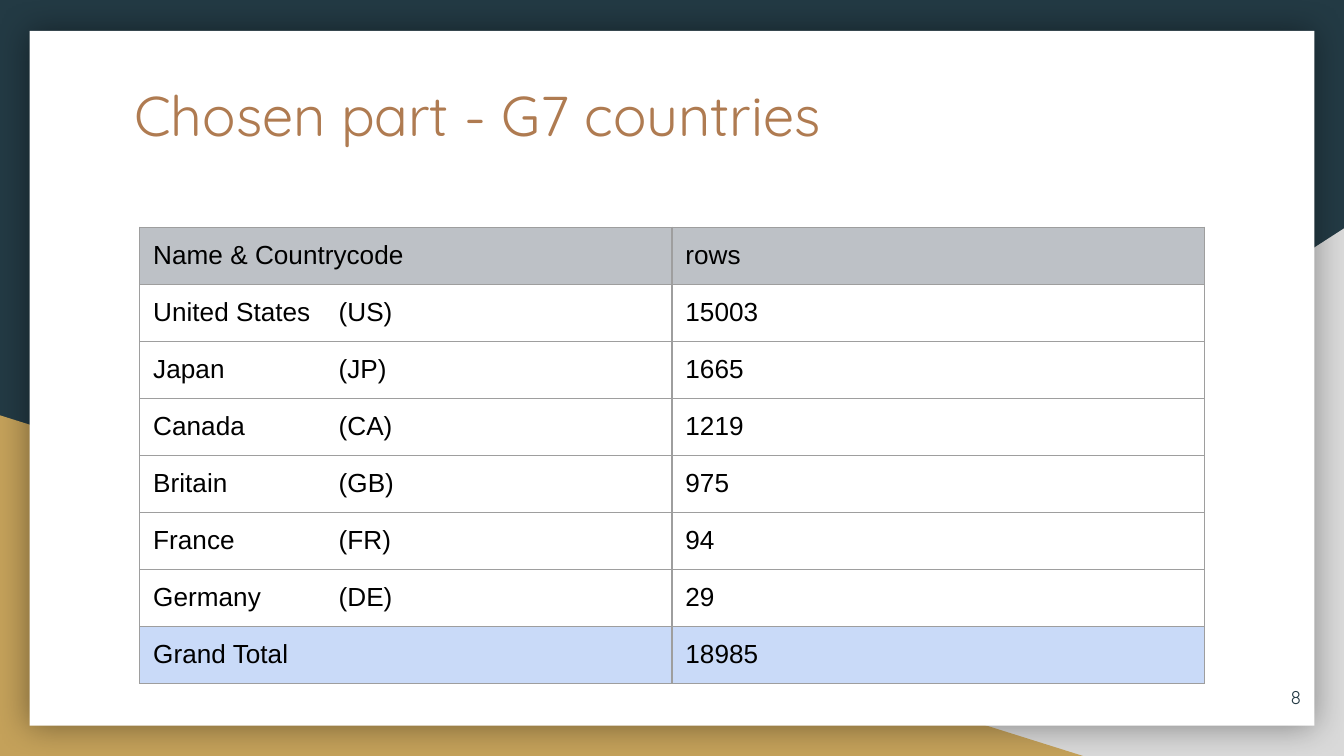
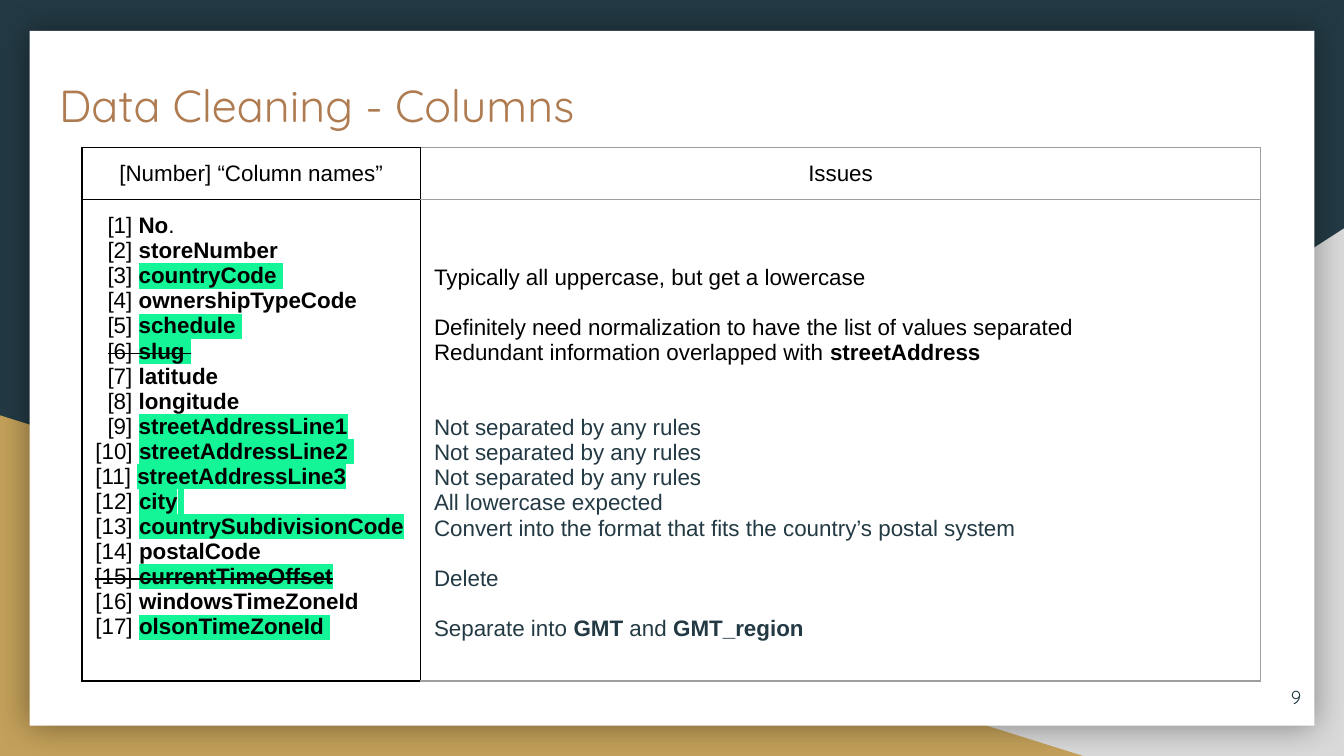
from dataclasses import dataclass

from lxml import etree
from pptx import Presentation
from pptx import util as u
from pptx.dml.color import RGBColor
from pptx.enum import shapes, text
from pptx.oxml import ns


@dataclass(frozen=True)
class Theme:
    slate: str = "233A44"
    gold: str = "C4A15A"
    silver: str = "D9D9D9"
    white: str = "FFFFFF"
    copper: str = "AF7B51"
    black: str = "000000"
    rule: str = "9E9E9E"
    head: str = "BDC1C6"
    total: str = "C9DAF8"
    mark: str = "14F597"
    display: str = "Quicksand"
    body: str = "Arial"
    big_title: int = 30
    small_title: int = 24
    count_size: int = 14
    column_size: int = 12
    number_size: int = 10


T = Theme()
WIDTH = 10
HEIGHT = WIDTH * 9 / 16
INSET = 0.1
LINE_PT = 13.45   # height of one line of the column list

# Content: rows per G7 country
COUNTRIES_TITLE = "Chosen part - G7 countries"
COUNTRY_HEAD = ("Name & Countrycode", "rows")
COUNTRIES = [
    ("United States\t(US)", "15003"),
    ("Japan\t(JP)", "1665"),
    ("Canada\t(CA)", "1219"),
    ("Britain\t(GB)", "975"),
    ("France\t(FR)", "94"),
    ("Germany\t(DE)", "29"),
]
COUNTRY_TOTAL = ("Grand Total", "18985")

# Content: column names and their issues
COLUMNS_TITLE = "Data Cleaning - Columns"
COLUMN_HEAD = ("[Number] “Column names”", "Issues")
COLUMNS = [
    "No", "storeNumber", "countryCode", "ownershipTypeCode", "schedule", "slug",
    "latitude", "longitude", "streetAddressLine1", "streetAddressLine2",
    "streetAddressLine3", "city", "countrySubdivisionCode", "postalCode",
    "currentTimeOffset", "windowsTimeZoneId", "olsonTimeZoneId",
]
MARKED = {3, 5, 6, 9, 10, 11, 12, 13, 15, 17}
STRUCK = {6, 15}
SPACED = {3, 5, 6, 10, 12, 17}   # the mark runs one space past the name
ISSUES = {   # column number: (colour, [(words, bold)])
    3: (T.black, [("Typically all uppercase, but get a lowercase", False)]),
    5: (T.black, [("Definitely need normalization to have the list of values separated", False)]),
    6: (T.black, [("Redundant information overlapped with ", False), ("streetAddress", True)]),
    9: (T.slate, [("Not separated by any rules", False)]),
    10: (T.slate, [("Not separated by any rules", False)]),
    11: (T.slate, [("Not separated by any rules", False)]),
    12: (T.slate, [("All lowercase expected", False)]),
    13: (T.slate, [("Convert into the format that fits the country’s postal system", False)]),
    15: (T.slate, [("Delete", False)]),
    17: (T.slate, [("Separate into ", False), ("GMT", True), (" and ", False),
                   ("GMT_region", True)]),
}


def child(parent, tag, **attributes):
    return etree.SubElement(parent, ns.qn(tag), attributes)


def write(paragraph, words, size, color=T.black, font=T.body, bold=False,
          highlight=None, strike=False, align=None):
    run = paragraph.add_run()
    run.text = words
    run.font.size = u.Pt(size)
    run.font.name = font
    run.font.bold = bold
    run.font.color.rgb = RGBColor.from_string(color)
    properties = run.font._element
    if strike:
        properties.set("strike", "sngStrike")
    if highlight:
        mark = etree.Element(ns.qn("a:highlight"))
        child(mark, "a:srgbClr", val=highlight)
        properties.find(ns.qn("a:solidFill")).addnext(mark)
    if align is not None:
        paragraph.alignment = align


def set_frame(frame, anchor):
    frame.word_wrap = True
    frame.auto_size = text.MSO_AUTO_SIZE.NONE
    frame.vertical_anchor = anchor
    frame.margin_left = frame.margin_right = u.Inches(INSET)
    frame.margin_top = frame.margin_bottom = u.Inches(INSET)


# Backdrop, drawn once and kept on the layout
def build_backdrop(slide, layout):
    layout.background.fill.solid()
    layout.background.fill.fore_color.rgb = RGBColor.from_string(T.slate)
    triangle, rectangle = shapes.MSO_SHAPE.RIGHT_TRIANGLE, shapes.MSO_SHAPE.RECTANGLE
    parts = []
    for kind, box, color in [
        (triangle, (3.92, 1.7, 6.08, HEIGHT - 1.7), T.silver),
        (triangle, (0, 3.09, 8.06, HEIGHT - 3.09), T.gold),
        (rectangle, (0.22, 0.23, 9.56, 5.17), T.white),
    ]:
        part = slide.shapes.add_shape(kind, *map(u.Inches, box))
        part.shadow.inherit = False
        part.fill.solid()
        part.fill.fore_color.rgb = RGBColor.from_string(color)
        part.line.fill.background()
        parts.append(part.element)
    silver, _, card = parts
    silver.spPr.find(ns.qn("a:xfrm")).set("flipH", "1")
    glow = child(card.spPr.find(ns.qn("a:effectLst")), "a:outerShdw",
                 blurRad=str(u.Pt(18)), dist="0", dir="0", algn="ctr", rotWithShape="0")
    child(child(glow, "a:srgbClr", val=T.black), "a:alpha", val="40000")
    for position, part in enumerate(parts, start=2):
        layout.shapes.element.insert(position, part)


# Title and slide number
def dress(slide, title, box, size, number):
    heading = slide.shapes.title
    heading.left, heading.top, heading.width, heading.height = map(u.Inches, box)
    set_frame(heading.text_frame, text.MSO_ANCHOR.TOP)
    write(heading.text_frame.paragraphs[0], title, size, T.copper, T.display,
          align=text.PP_ALIGN.LEFT)
    corner = slide.shapes.add_textbox(*map(u.Inches, (9.18, 4.97, 0.6, 0.43)))
    set_frame(corner.text_frame, text.MSO_ANCHOR.MIDDLE)
    write(corner.text_frame.paragraphs[0], str(number), T.number_size, T.slate,
          T.display, align=text.PP_ALIGN.RIGHT)


# Tables
def add_grid(slide, left, top, widths, heights):
    frame = slide.shapes.add_table(
        len(heights), len(widths), u.Inches(left), u.Inches(top),
        u.Inches(sum(widths)), u.Inches(sum(heights)))
    grid = frame.table
    grid.first_row = grid.horz_banding = False
    for column, width in zip(grid.columns, widths):
        column.width = u.Inches(width)
    for row, height in zip(grid.rows, heights):
        row.height = u.Inches(height)
    return grid


def style_cell(cell, fill=None, border=T.rule, left_border=None):
    cell.margin_left = cell.margin_right = u.Inches(INSET)
    cell.margin_top = cell.margin_bottom = u.Inches(INSET)
    if fill:
        cell.fill.solid()
        cell.fill.fore_color.rgb = RGBColor.from_string(fill)
    else:
        cell.fill.background()
    properties = cell._tc.get_or_add_tcPr()
    for position, side in enumerate("LRTB"):
        line = etree.Element(ns.qn(f"a:ln{side}"), w=str(u.Pt(0.75)))
        color = left_border if side == "L" and left_border else border
        child(child(line, "a:solidFill"), "a:srgbClr", val=color)
        properties.insert(position, line)


def add_country_table(slide):
    rows = [COUNTRY_HEAD, *COUNTRIES, COUNTRY_TOTAL]
    fills = [T.head, *[None] * len(COUNTRIES), T.total]
    grid = add_grid(slide, 1.04, 1.69, [3.96] * 2, [3.4 / len(rows)] * len(rows))
    for r, (row, fill) in enumerate(zip(rows, fills)):
        for c, words in enumerate(row):
            cell = grid.cell(r, c)
            style_cell(cell, fill)
            paragraph = cell.text_frame.paragraphs[0]
            write(paragraph, words, T.count_size)
            if "\t" in words:
                stops = child(paragraph._p.get_or_add_pPr(), "a:tabLst")
                child(stops, "a:tab", pos=str(u.Inches(1.38)), algn="l")


def next_paragraph(frame, first):
    return frame.paragraphs[0] if first else frame.add_paragraph()


def list_columns(frame):
    size = T.column_size
    for number, name in enumerate(COLUMNS, start=1):
        paragraph = next_paragraph(frame, number == 1)
        if number < 10:
            paragraph._p.get_or_add_pPr().set("marL", str(u.Inches(0.09)))
        mark = T.mark if number in MARKED else None
        strike = number in STRUCK
        write(paragraph, f"[{number}] ", size, strike=strike)
        write(paragraph, name, size, bold=True, highlight=mark, strike=strike)
        if number == 1:
            write(paragraph, ".", size)
        if number in SPACED:
            write(paragraph, " ", size, highlight=mark, strike=strike)


def list_issues(cell):
    first = previous = min(ISSUES)
    # Each issue stands level with its column name
    cell.margin_top = u.Inches(INSET + (first - 1) * LINE_PT / 72 + 0.01)
    for number, (color, runs) in ISSUES.items():
        paragraph = next_paragraph(cell.text_frame, number == first)
        skipped = number - previous - 1
        if skipped > 0:
            paragraph.space_before = u.Pt(skipped * LINE_PT)
        for words, bold in runs:
            write(paragraph, words, T.column_size, color, bold=bold)
        previous = number


def add_column_table(slide):
    grid = add_grid(slide, 0.61, 1.1, [2.52, 6.25], [0.26, 3.58])
    for r in range(2):
        style_cell(grid.cell(r, 0), border=T.black)
        style_cell(grid.cell(r, 1), left_border=T.black)
    for c, words in enumerate(COLUMN_HEAD):
        write(grid.cell(0, c).text_frame.paragraphs[0], words, T.column_size,
              align=text.PP_ALIGN.CENTER)
    list_columns(grid.cell(1, 0).text_frame)
    list_issues(grid.cell(1, 1))


def main():
    deck = Presentation()
    deck.slide_width, deck.slide_height = u.Inches(WIDTH), u.Inches(HEIGHT)
    title_only = deck.slide_layouts[5]

    countries = deck.slides.add_slide(title_only)
    build_backdrop(countries, title_only)
    dress(countries, COUNTRIES_TITLE, (0.9, 0.5, 8.21, 1.04), T.big_title, 8)
    add_country_table(countries)

    columns = deck.slides.add_slide(title_only)
    dress(columns, COLUMNS_TITLE, (0.34, 0.48, 9.32, 0.63), T.small_title, 9)
    add_column_table(columns)

    deck.save("out.pptx")


if __name__ == "__main__":
    main()
